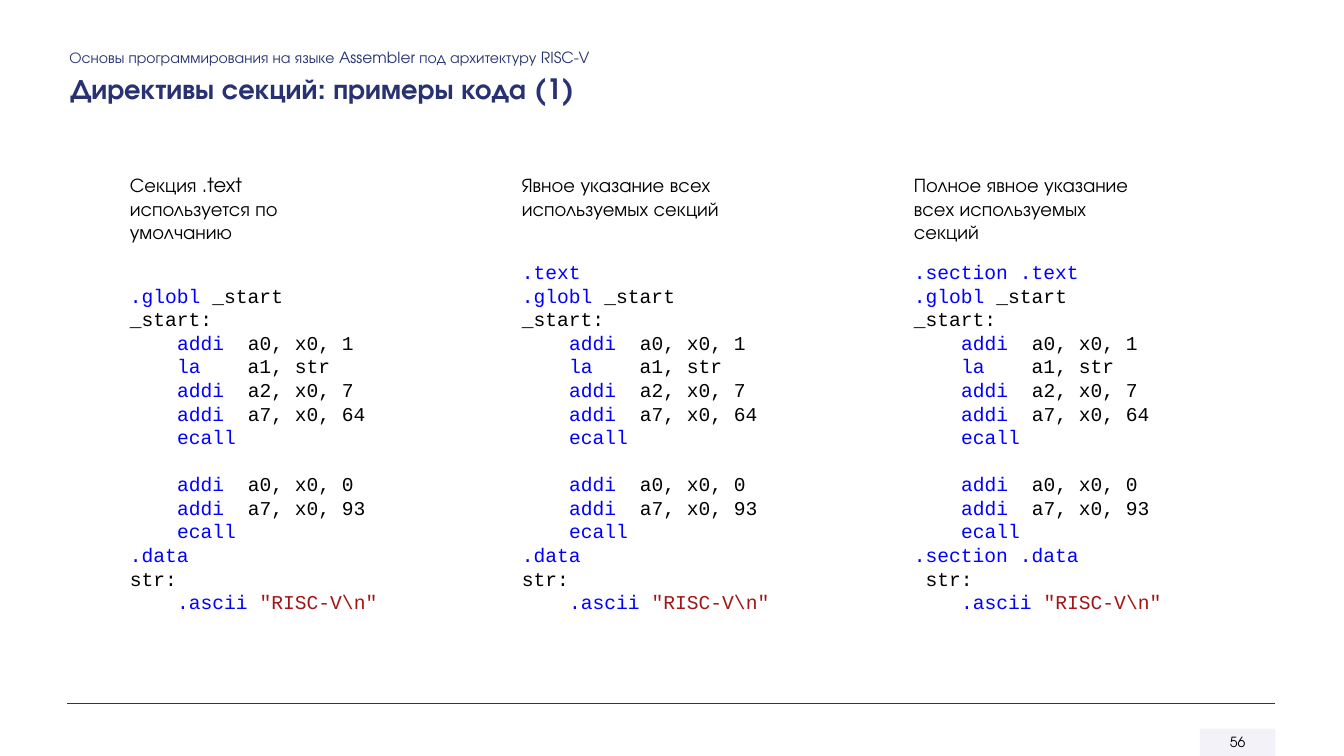
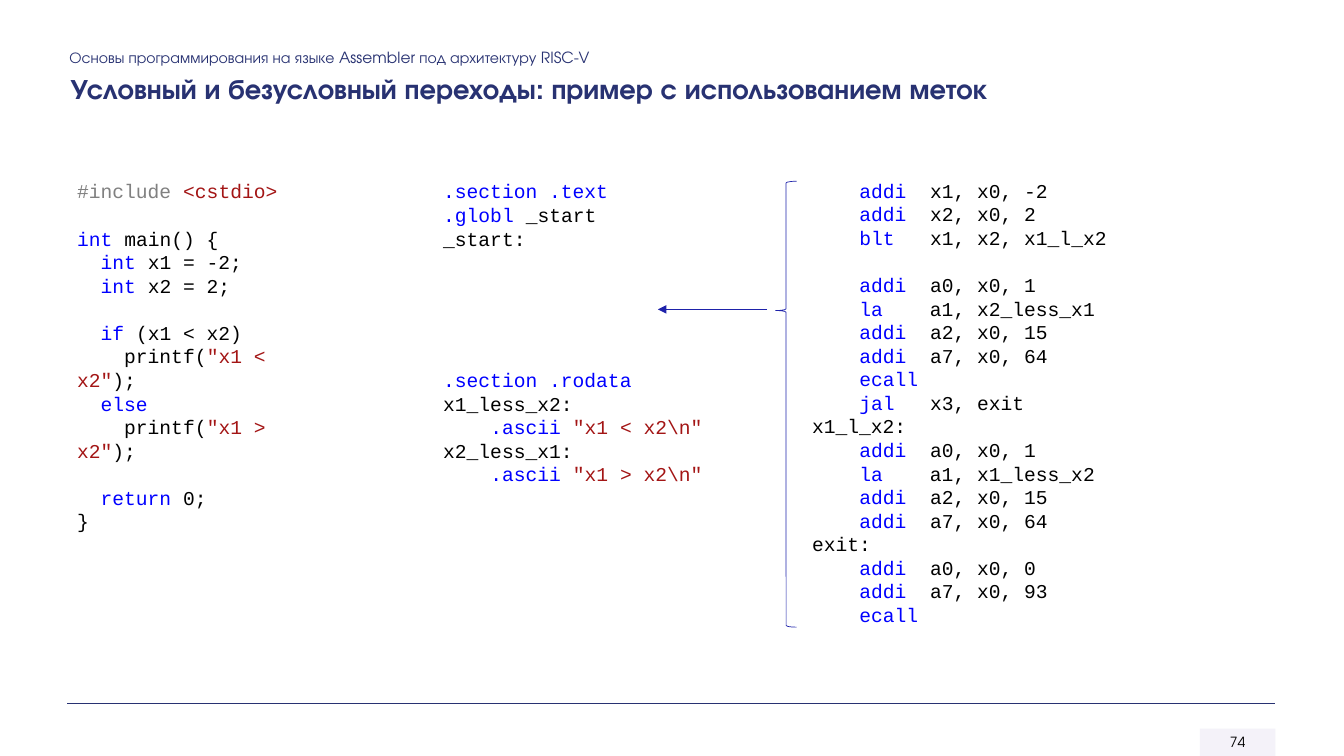
from itertools import groupby

from lxml.etree import SubElement
from pptx import Presentation
from pptx.dml.color import RGBColor
from pptx.enum.shapes import MSO_CONNECTOR, MSO_SHAPE
from pptx.enum.text import MSO_ANCHOR, MSO_AUTO_SIZE, PP_ALIGN
from pptx.oxml.ns import qn
from pptx.util import Pt

COLORS = {
    "black": "000000",
    "navy": "283272",
    "ink": "1E22AA",
    "pale": "F3F1F9",
    "blue": "0000FF",
    "red": "A31515",
    "gray": "808080",
}
SANS = "TeX Gyre Adventor"
FORMATS = {
    "course": {"name": SANS, "size": Pt(11)},
    "title": {"name": SANS, "size": Pt(20), "bold": True},
    "note": {"name": SANS, "size": Pt(14)},
    "page": {"name": SANS, "size": Pt(10)},
    "code": {"name": "Courier New", "size": Pt(14)},
}
COURSE = "Основы программирования на языке Assembler под архитектуру RISC-V"
KEYS = set("int if else return addi la blt jal ecall".split())
PITCH = 16.85

START = r"""
.globl _start
_start:
    addi  a0, x0, 1
    la    a1, str
    addi  a2, x0, 7
    addi  a7, x0, 64
    ecall

    addi  a0, x0, 0
    addi  a7, x0, 93
    ecall
"""
ASCII = r"""
    .ascii "RISC-V\n"
"""
SAMPLES = [
    ("Секция .text используется по умолчанию", "", ".data\nstr:"),
    ("Явное указание всех используемых секций", ".text", ".data\nstr:"),
    ("Полное явное указание всех используемых секций",
     ".section .text", ".section .data\n str:"),
]
SOURCE = r"""
#include <cstdio>

int main() {
  int x1 = -2;
  int x2 = 2;

  if (x1 < x2)
    printf("x1 < x2");
  else
    printf("x1 > x2");

  return 0;
}
"""
ENTRY = r"""
.section .text
.globl _start
_start:
"""
RODATA = r"""
.section .rodata
x1_less_x2:
    .ascii "x1 < x2\n"
x2_less_x1:
    .ascii "x1 > x2\n"
"""
JUMPS = r"""
    addi  x1, x0, -2
    addi  x2, x0, 2
    blt   x1, x2, x1_l_x2

    addi  a0, x0, 1
    la    a1, x2_less_x1
    addi  a2, x0, 15
    addi  a7, x0, 64
    ecall
    jal   x3, exit
x1_l_x2:
    addi  a0, x0, 1
    la    a1, x1_less_x2
    addi  a2, x0, 15
    addi  a7, x0, 64
exit:
    addi  a0, x0, 0
    addi  a7, x0, 93
    ecall
"""


def rgb(color):
    return RGBColor.from_string(COLORS[color])


def add_run(para, text, kind, color):
    run = para.add_run()
    run.text = text
    for key, value in FORMATS[kind].items():
        setattr(run.font, key, value)
    run.font.color.rgb = rgb(color)


def add_frame(slide, left, top, width, height):
    box = slide.shapes.add_textbox(Pt(left), Pt(top), Pt(width), Pt(height))
    frame = box.text_frame
    frame.word_wrap = True
    frame.auto_size = MSO_AUTO_SIZE.SHAPE_TO_FIT_TEXT
    return frame


def add_text(slide, text, kind, color, *place):
    add_run(add_frame(slide, *place).paragraphs[0], text, kind, color)


def tint(token):
    word = token.strip()
    if word.startswith("#"):
        return "gray"
    if word == "<cstdio>":
        return "red"
    return "blue" if word in KEYS or word.startswith(".") else "black"


def split_line(line):
    for index, part in enumerate(line.split('"')):
        if index % 2:
            yield f'"{part}"', "red"
            continue
        *words, last = part.split(" ")
        tokens = [word + " " for word in words] + [last]
        for color, group in groupby(filter(None, tokens), tint):
            yield "".join(group), color


def add_code(slide, code, left, top, width):
    lines = code.strip("\n").split("\n")
    frame = add_frame(slide, left, top, width, len(lines) * PITCH + 7.2)
    for index, line in enumerate(lines):
        para = frame.add_paragraph() if index else frame.paragraphs[0]
        para.line_spacing = Pt(PITCH)
        for text, color in split_line(line):
            add_run(para, text, "code", color)


def add_line(slide, start, end, color, weight, arrow=False):
    line = slide.shapes.add_connector(
        MSO_CONNECTOR.STRAIGHT, *map(Pt, start + end))
    line.line.color.rgb = rgb(color)
    line.line.width = Pt(weight)
    props = line._element.spPr
    if arrow:
        SubElement(props.find(qn("a:ln")), qn("a:tailEnd"), type="triangle")
    SubElement(props, qn("a:effectLst"))


def add_badge(slide, page):
    badge = slide.shapes.add_shape(
        MSO_SHAPE.RECTANGLE, Pt(857), Pt(520.5), Pt(54), Pt(19.5))
    badge.shadow.inherit = False
    badge.fill.solid()
    badge.fill.fore_color.rgb = rgb("pale")
    SubElement(badge._element.spPr.find(".//" + qn("a:srgbClr")),
               qn("a:alpha"), val="90000")
    badge.line.fill.background()
    frame = badge.text_frame
    frame.vertical_anchor = MSO_ANCHOR.MIDDLE
    para = frame.paragraphs[0]
    para.alignment = PP_ALIGN.CENTER
    add_run(para, str(page), "page", "black")


def add_brace(slide, left, top, width, height):
    brace = slide.shapes.add_shape(
        MSO_SHAPE.LEFT_BRACE, Pt(left), Pt(top), Pt(width), Pt(height))
    brace.shadow.inherit = False
    brace.fill.background()
    brace.line.color.rgb = rgb("ink")
    brace.line.width = Pt(0.5)
    brace.adjustments[0] = 0.08
    brace.adjustments[1] = 0.29


def add_slide(deck, title, page):
    slide = deck.slides.add_slide(deck.slide_layouts[6])
    add_badge(slide, page)
    add_line(slide, (48, 502.5), (911, 502.5), "navy", 1)
    add_text(slide, COURSE, "course", "navy", 42.5, 31, 737, 21)
    add_text(slide, title, "title", "navy", 43.2, 47.5, 737, 31.7)
    return slide


def add_samples(deck):
    slide = add_slide(deck, "Директивы секций: примеры кода (1)", 56)
    for index, (note, head, data) in enumerate(SAMPLES):
        left = 85.7 + 280 * index
        top = 182.2 if head else 182.2 + PITCH
        add_code(slide, head + START + data + ASCII, left, top, 227.5)
        add_text(slide, note, "note", "black", left, 120.2, 175, 58)


def add_jumps(deck):
    slide = add_slide(
        deck,
        "Условный и безусловный переходы: пример с использованием меток", 74)
    top = 124.5
    add_code(slide, SOURCE, 48, top, 186)
    add_code(slide, ENTRY, 309.5, top, 203)
    add_code(slide, RODATA, 309.5, top + 8 * PITCH, 203)
    add_code(slide, JUMPS, 573, top - 0.5, 225.5)
    add_brace(slide, 554, 129.5, 15, 318.5)
    add_line(slide, (548, 221), (470, 221), "ink", 0.5, arrow=True)


def main():
    deck = Presentation()
    deck.slide_width, deck.slide_height = Pt(960), Pt(540)
    add_samples(deck)
    add_jumps(deck)
    deck.save("out.pptx")


if __name__ == "__main__":
    main()
